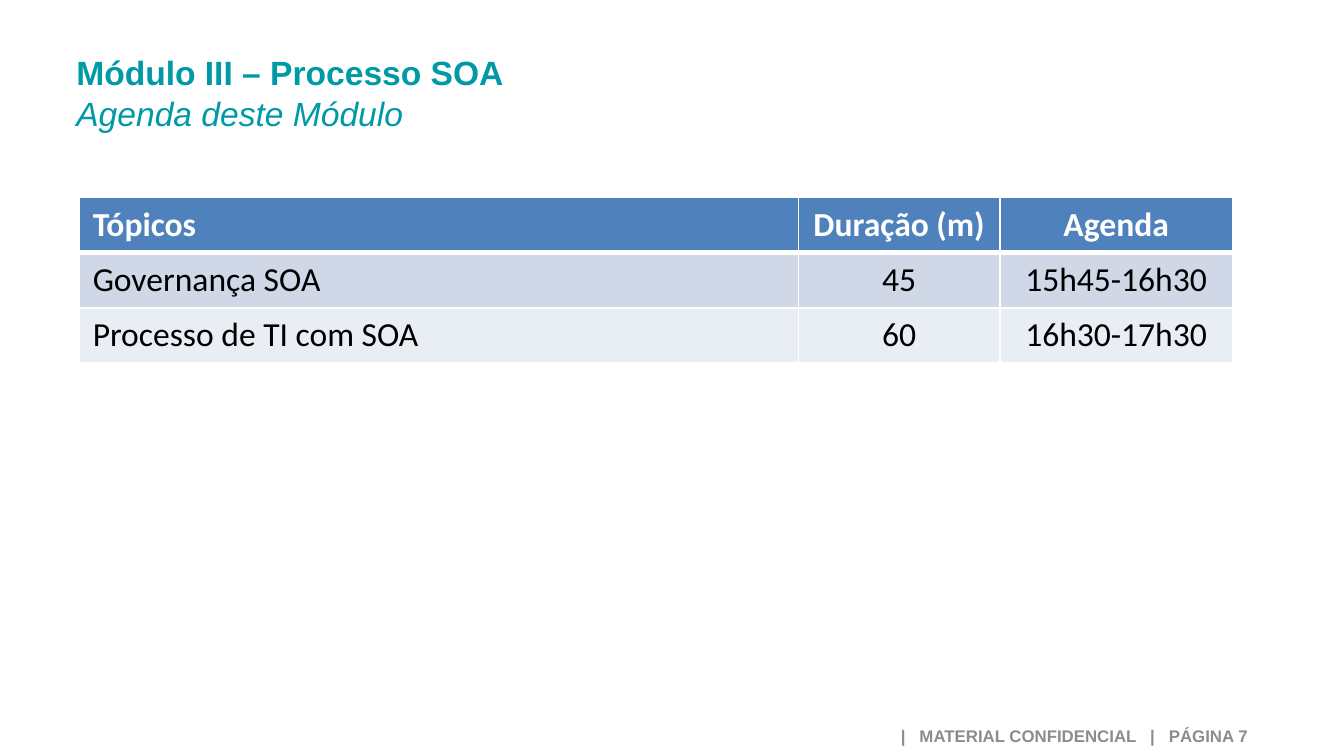
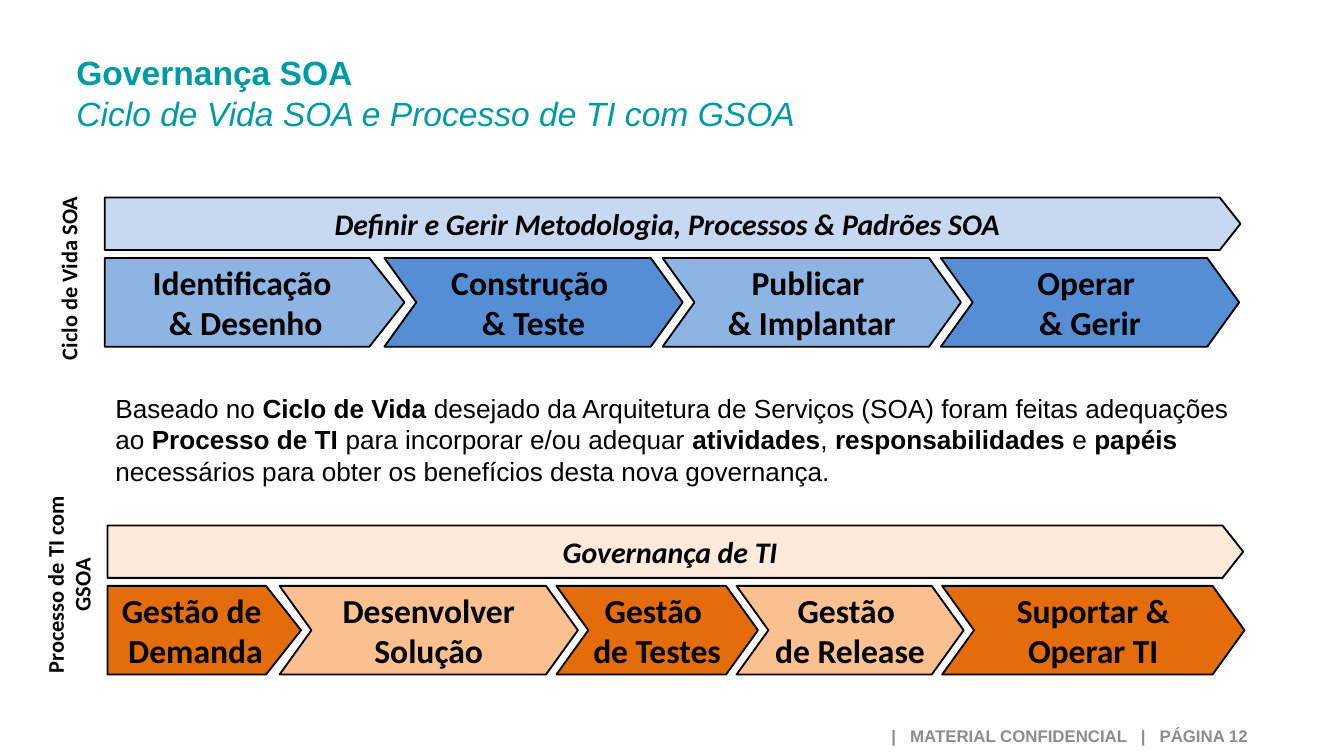
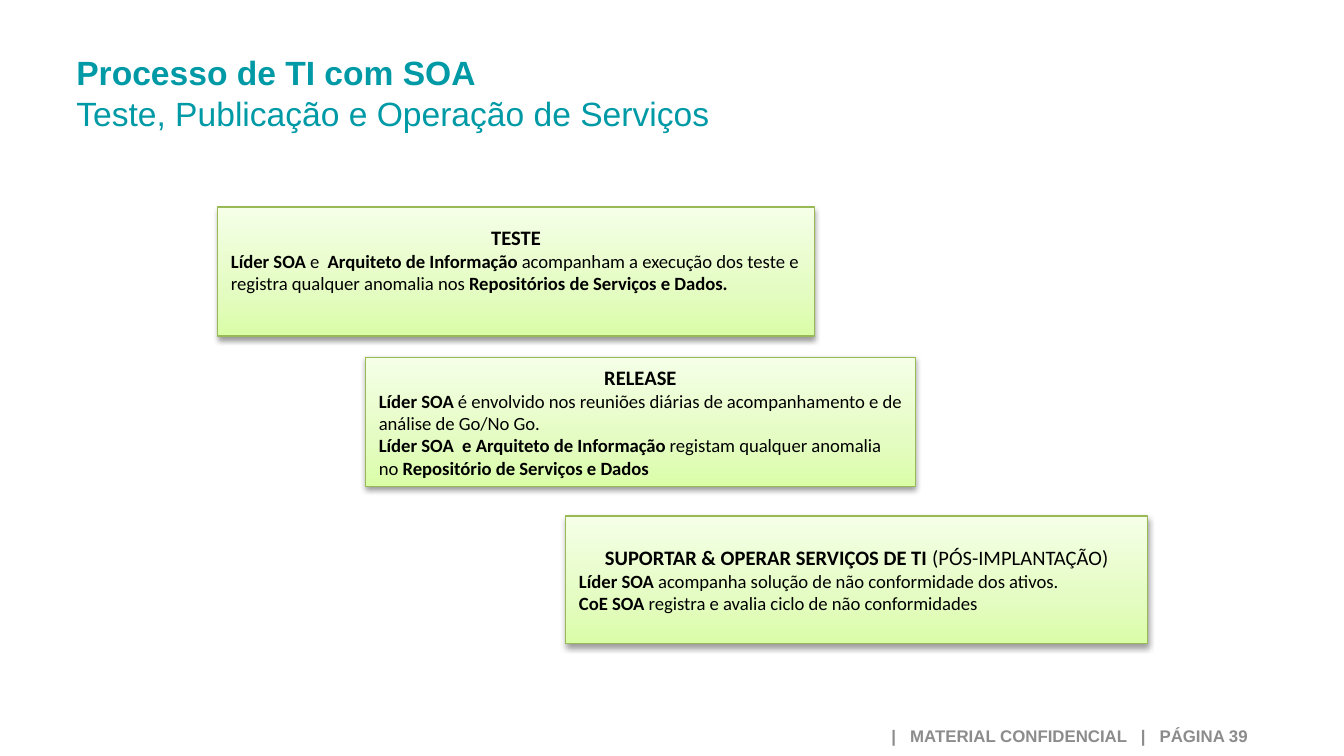
import pptx
import pptx.dml.color
import pptx.enum.shapes
import pptx.enum.text
import pptx.oxml
import pptx.oxml.ns
import pptx.util
from pptx.util import Inches

SHAPES = pptx.enum.shapes.MSO_SHAPE
ALIGN = pptx.enum.text.PP_ALIGN
ANCHOR = pptx.enum.text.MSO_ANCHOR
NAMESPACE = pptx.oxml.ns.nsdecls("a")

# Shared style
SLIDE_WIDTH = 10
SLIDE_HEIGHT = SLIDE_WIDTH * 9 / 16
TEAL, GRAY, BLACK, WHITE = "009AA6", "8C8C8C", "000000", "FFFFFF"
HEADER_BLUE, ROW_FILLS = "4F81BD", ("D0D8E8", "E9EDF4")
BLUES, ORANGES = ("8EB4E3", "558ED5"), ("E46C0A", "FAC090")
GREEN_LINE = "98B955"
GREEN_STOPS = ((0, "DAFDA7"), (35, "E4FCC2"), (100, "F5FFE7"))
HEADING, BODY = "Arial", "Calibri"


def color(value):
    return pptx.dml.color.RGBColor.from_string(value)


# Text
def write_run(paragraph, text, size=18, font=BODY, ink=BLACK, bold=False, italic=False):
    run = paragraph.add_run()
    run.text = text
    run.font.size = pptx.util.Pt(size)
    run.font.name = font
    run.font.color.rgb = color(ink)
    run.font.bold = bold
    run.font.italic = italic


def write_text(frame, text, align=ALIGN.LEFT, before=0, **style):
    """Add one paragraph; parts between asterisks are bold."""
    paragraph = frame.paragraphs[0] if not frame.text else frame.add_paragraph()
    paragraph.alignment = align
    paragraph.space_before = pptx.util.Pt(before)
    for index, part in enumerate(text.split("*")):
        if part:
            write_run(paragraph, part, bold=index % 2 == 1, **style)
    return paragraph


def add_text_box(slide, left, top, width, height, anchor=ANCHOR.TOP):
    box = slide.shapes.add_textbox(Inches(left), Inches(top), Inches(width), Inches(height))
    box.text_frame.word_wrap = True
    box.text_frame.vertical_anchor = anchor
    return box


# Parts on every slide
def add_content_slide(presentation, title, subtitle, page, italic=True):
    slide = presentation.slides.add_slide(presentation.slide_layouts[6])
    frame = add_text_box(slide, 0.47, 0.34, 7.4, 0.71).text_frame
    paragraph = write_text(frame, f"*{title}*", font=HEADING, ink=TEAL)
    paragraph.add_line_break()
    write_run(paragraph, subtitle, font=HEADING, ink=TEAL, italic=italic)
    footer = add_text_box(slide, 5.16, 5.33, 4.22, 0.29, ANCHOR.MIDDLE)
    write_text(footer.text_frame, f"* |   MATERIAL CONFIDENCIAL   |   PÁGINA {page}*",
               align=ALIGN.RIGHT, size=9, font=HEADING, ink=GRAY)
    return slide


def add_box(slide, kind, left, top, width, height, line, line_width):
    shape = slide.shapes.add_shape(kind, Inches(left), Inches(top), Inches(width), Inches(height))
    shape.shadow.inherit = False
    shape.line.color.rgb = color(line)
    shape.line.width = pptx.util.Pt(line_width)
    shape.text_frame.vertical_anchor = ANCHOR.MIDDLE
    return shape


# Agenda table
def set_borders(cell, bottom):
    properties = cell._tc.get_or_add_tcPr()
    widths = {"lnL": 1, "lnR": 1, "lnT": 1, "lnB": bottom}
    for index, (side, width) in enumerate(widths.items()):
        properties.insert(index, pptx.oxml.parse_xml(
            f'<a:{side} {NAMESPACE} w="{pptx.util.Pt(width)}"><a:solidFill>'
            f'<a:srgbClr val="{WHITE}"/></a:solidFill></a:{side}>'))


def add_agenda(slide, rows, left, top, widths, row_height):
    frame = slide.shapes.add_table(
        len(rows), len(widths), Inches(left), Inches(top),
        Inches(sum(widths)), Inches(row_height * len(rows)))
    table = frame.table
    for column, width in zip(table.columns, widths):
        column.width = Inches(width)
    for row_index, row in enumerate(rows):
        table.rows[row_index].height = Inches(row_height)
        header = row_index == 0
        for column_index, text in enumerate(row):
            cell = table.cell(row_index, column_index)
            cell.fill.solid()
            cell.fill.fore_color.rgb = color(
                HEADER_BLUE if header else ROW_FILLS[(row_index - 1) % 2])
            write_text(cell.text_frame, f"*{text}*" if header else text,
                       align=ALIGN.CENTER if column_index else ALIGN.LEFT,
                       ink=WHITE if header else BLACK)
            set_borders(cell, bottom=3 if header else 1)


# Process flow
def add_arrow(slide, kind, left, top, width, height, point, fill, lines, wrap=False, **style):
    arrow = add_box(slide, kind, left, top, width, height, BLACK, 1)
    arrow.adjustments[0] = point
    arrow.fill.solid()
    arrow.fill.fore_color.rgb = color(fill)
    arrow.text_frame.word_wrap = wrap
    for line in lines:
        write_text(arrow.text_frame, f"*{line}*", align=ALIGN.CENTER, **style)


def add_process(slide, left, top, banner, banner_fill, steps, fills, overlap):
    add_arrow(slide, SHAPES.PENTAGON, left, top, 8.45, 0.39, 0.395, banner_fill,
              [banner], size=16, italic=True)
    for index, (width, *lines) in enumerate(steps):
        kind, point = (SHAPES.CHEVRON, 0.36) if index else (SHAPES.PENTAGON, 0.395)
        add_arrow(slide, kind, left, top + 0.45, width, 0.66, point,
                  fills[index % 2], lines, wrap=width > 2)
        left += width - overlap


def add_side_label(slide, text, top, height):
    label = add_text_box(slide, -0.31, top, 1.64, height)
    label.rotation = 270
    write_text(label.text_frame, f"*{text}*", align=ALIGN.CENTER, size=12)


# Stage cards
def add_stage(slide, left, top, width, height, heading, details, bottom_margin=0.05):
    card = add_box(slide, SHAPES.RECTANGLE, left, top, width, height, GREEN_LINE, 0.75)
    stops = "".join(f'<a:gs pos="{position * 1000}"><a:srgbClr val="{value}"/></a:gs>'
                    for position, value in GREEN_STOPS)
    properties = card._element.spPr
    properties.find(pptx.oxml.ns.qn("a:prstGeom")).addnext(pptx.oxml.parse_xml(
        f'<a:gradFill {NAMESPACE} rotWithShape="1"><a:gsLst>{stops}</a:gsLst>'
        '<a:lin ang="16200000" scaled="0"/></a:gradFill>'))
    properties.find(pptx.oxml.ns.qn("a:effectLst")).append(pptx.oxml.parse_xml(
        f'<a:outerShdw {NAMESPACE} blurRad="{pptx.util.Pt(3.1)}" dist="{pptx.util.Pt(1.6)}" '
        f'dir="5400000" rotWithShape="0"><a:srgbClr val="{BLACK}">'
        '<a:alpha val="38000"/></a:srgbClr></a:outerShdw>'))
    card.text_frame.word_wrap = True
    card.text_frame.margin_bottom = Inches(bottom_margin)
    write_text(card.text_frame, heading, align=ALIGN.CENTER, size=11)
    for detail in details:
        write_text(card.text_frame, detail, size=10)


# Slides
def build_agenda_slide(presentation):
    slide = add_content_slide(presentation, "Módulo III – Processo SOA",
                              "Agenda deste Módulo", 7)
    rows = [("Tópicos", "Duração (m)", "Agenda"),
            ("Governança SOA", "45", "15h45-16h30"),
            ("Processo de TI com SOA", "60", "16h30-17h30")]
    add_agenda(slide, rows, 0.59, 1.47, (5.35, 1.5, 1.73), 0.41)


def build_governance_slide(presentation):
    slide = add_content_slide(presentation, "Governança SOA",
                              "Ciclo de Vida SOA e Processo de TI com GSOA", 12)
    body = add_text_box(slide, 0.76, 2.87, 8.62, 0.81)
    write_text(body.text_frame,
               "Baseado no *Ciclo de Vida *desejado da Arquitetura de Serviços (SOA) foram "
               "feitas adequações ao *Processo de TI *para incorporar e/ou adequar "
               "*atividades*, *responsabilidades* e *papéis *necessários para obter os "
               "benefícios desta nova governança.", before=2.8, size=14, font=HEADING)
    add_process(slide, 0.78, 1.47, "Definir e Gerir Metodologia, Processos & Padrões SOA",
                "C6D9F1",
                [(2.23, "Identificação ", "& Desenho"), (2.22, "Construção ", "& Teste"),
                 (2.22, "Publicar ", "& Implantar"), (2.22, "Operar ", "& Gerir")],
                BLUES, overlap=0.15)
    add_side_label(slide, "Ciclo de Vida SOA", 1.92, 0.3)
    add_process(slide, 0.8, 3.91, "Governança de TI", "FDEADA",
                [(1.44, "Gestão de ", "Demanda"), (2.22, "Desenvolver Solução"),
                 (1.5, "Gestão ", "de Testes"), (1.69, "Gestão ", "de Release"),
                 (2.25, "Suportar &", "Operar TI")],
                ORANGES, overlap=0.16)
    add_side_label(slide, "Processo de TI com GSOA", 4.1, 0.5)


def build_operation_slide(presentation):
    slide = add_content_slide(presentation, "Processo de TI com SOA",
                              "Teste, Publicação e Operação de Serviços", 39, italic=False)
    add_stage(slide, 1.62, 1.54, 4.44, 0.96, "*TESTE*",
              ["*Líder SOA *e  *Arquiteto de Informação *acompanham a execução dos teste e "
               "registra qualquer anomalia nos *Repositórios de Serviços e Dados.*"],
              bottom_margin=0.22)
    add_stage(slide, 2.72, 2.66, 4.09, 0.96, "*RELEASE*",
              ["*Líder SOA *é envolvido nos reuniões diárias de acompanhamento e de "
               "análise de Go/No Go.",
               "*Líder SOA  e Arquiteto de Informação *registam qualquer anomalia no"
               "* Repositório de Serviços e Dados*"])
    add_stage(slide, 4.21, 3.84, 4.33, 0.95,
              "*SUPORTAR & OPERAR SERVIÇOS DE TI *(PÓS-IMPLANTAÇÃO)",
              ["*Líder SOA *acompanha solução de não conformidade dos ativos.",
               "*CoE SOA *registra e avalia ciclo de não conformidades"])


def main():
    presentation = pptx.Presentation()
    presentation.slide_width = Inches(SLIDE_WIDTH)
    presentation.slide_height = Inches(SLIDE_HEIGHT)
    build_agenda_slide(presentation)
    build_governance_slide(presentation)
    build_operation_slide(presentation)
    presentation.save("out.pptx")


if __name__ == "__main__":
    main()
